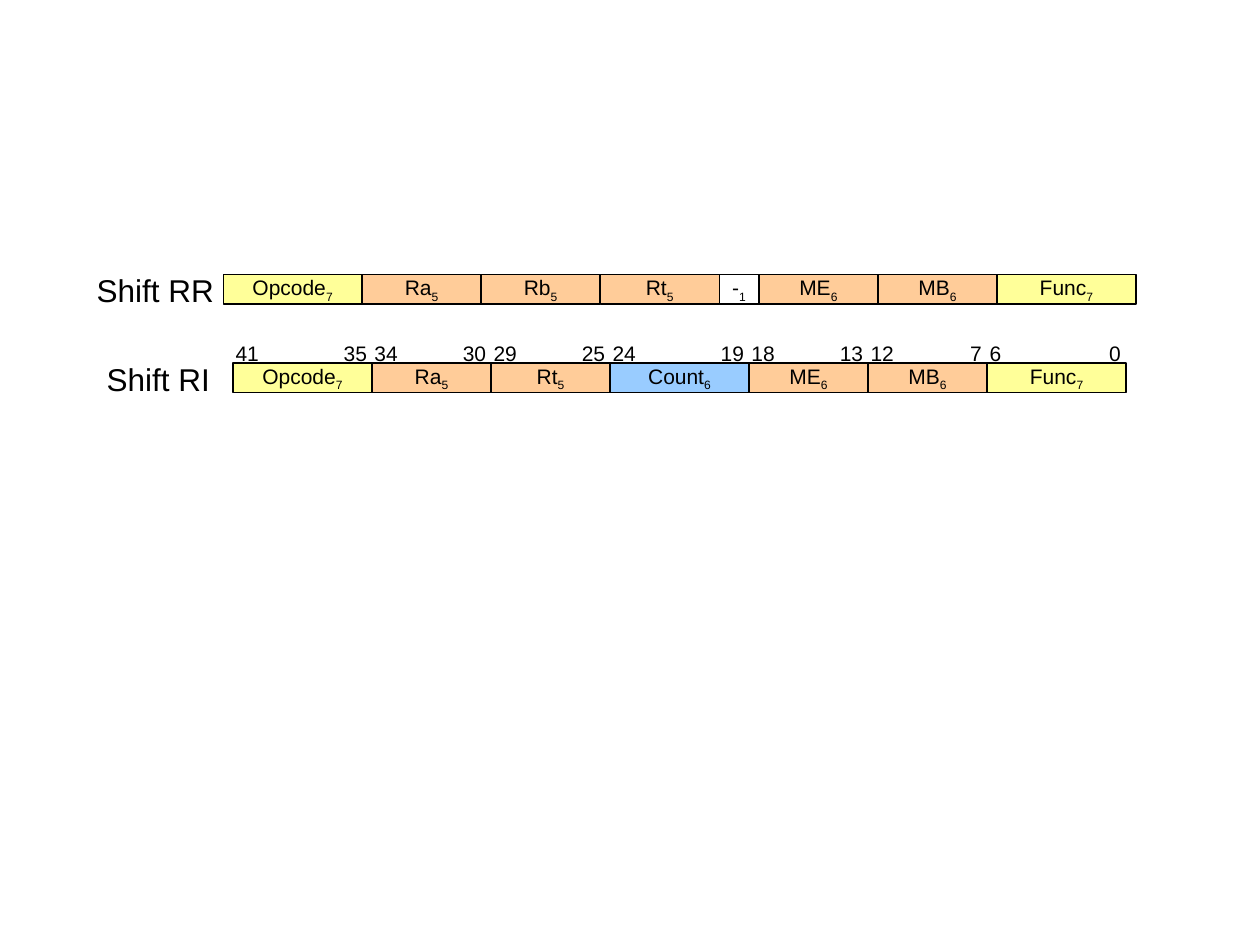
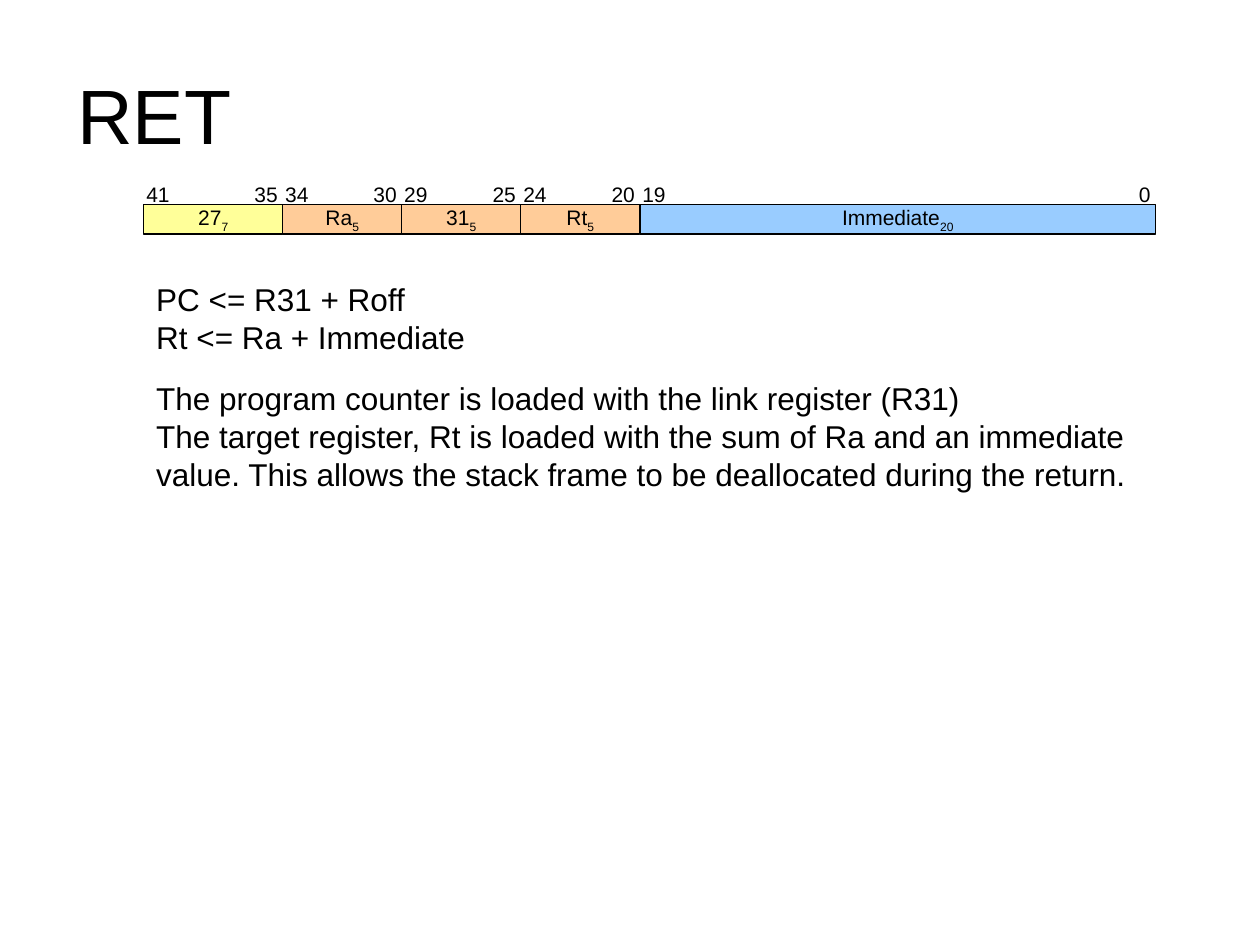
from pptx import Presentation
from pptx.dml.color import RGBColor
from pptx.enum.shapes import MSO_SHAPE as Shape
from pptx.enum.text import MSO_ANCHOR as Anchor, MSO_AUTO_SIZE as AutoSize, PP_ALIGN as Align
from pptx.util import Cm, Pt

FONT = "Arial"
COLORS = {
    "text": "000000",
    "code": "FFFF99",
    "register": "FFCC99",
    "immediate": "99CCFF",
    "unused": "FFFFFF",
}
TITLE_ONLY, BLANK = 5, 6
FIELD_HEIGHT = 0.6

# Instruction formats: (field name, bits, kind, width in cm)
SHIFT_RR = [
    ("Opcode", 7, "code", 2.8),
    ("Ra", 5, "register", 2.4),
    ("Rb", 5, "register", 2.4),
    ("Rt", 5, "register", 2.4),
    ("-", 1, "unused", 0.8),
    ("ME", 6, "register", 2.4),
    ("MB", 6, "register", 2.4),
    ("Func", 7, "code", 2.8),
]
SHIFT_RI = [
    ("Opcode", 7, "code", 2.8),
    ("Ra", 5, "register", 2.4),
    ("Rt", 5, "register", 2.4),
    ("Count", 6, "immediate", 2.8),
    ("ME", 6, "register", 2.4),
    ("MB", 6, "register", 2.4),
    ("Func", 7, "code", 2.8),
]
RET = [
    ("27", 7, "code", 2.8),
    ("Ra", 5, "register", 2.4),
    ("31", 5, "register", 2.4),
    ("Rt", 5, "register", 2.4),
    ("Immediate", 20, "immediate", 10.4),
]


def rgb(key):
    return RGBColor.from_string(COLORS[key])


def style(paragraph, size, align=Align.LEFT):
    paragraph.alignment = align
    paragraph.font.name = FONT
    paragraph.font.size = Pt(size)
    paragraph.font.color.rgb = rgb("text")


def add_text(slide, lines, left, top, width, height, size=18):
    box = slide.shapes.add_textbox(Cm(left), Cm(top), Cm(width), Cm(height))
    frame = box.text_frame
    frame.word_wrap = False
    frame.auto_size = AutoSize.SHAPE_TO_FIT_TEXT
    frame.text = "\n".join(lines)
    for paragraph in frame.paragraphs:
        style(paragraph, size)


def add_field(slide, name, bits, kind, left, top, width):
    """Box with the field name and its bit count as a subscript."""
    field = slide.shapes.add_shape(
        Shape.RECTANGLE, Cm(left), Cm(top), Cm(width), Cm(FIELD_HEIGHT))
    field.shadow.inherit = False
    field.fill.solid()
    field.fill.fore_color.rgb = rgb(kind)
    field.line.color.rgb = rgb("text")
    field.line.width = Pt(0.75)
    frame = field.text_frame
    frame.word_wrap = False
    frame.vertical_anchor = Anchor.MIDDLE
    paragraph = frame.paragraphs[0]
    style(paragraph, 12, Align.CENTER)
    paragraph.add_run().text = name
    subscript = paragraph.add_run()
    subscript.text = str(bits)
    subscript._r.get_or_add_rPr().set("baseline", "-25000")


def add_bit_range(slide, high, low, left, right, field_top):
    """Bit numbers above the two ends of a field."""
    top = field_top - 0.58

    def label_width(bit):
        return 0.97 if bit > 9 else 0.74

    low_left = right + 0.15 - label_width(low)
    for bit, bit_left in ((high, left - 0.2), (low, low_left)):
        add_text(slide, [str(bit)], bit_left, top, label_width(bit), 0.76, size=12)


def add_format(slide, fields, left, top, numbered=True):
    """Row of adjoining fields, numbered down from the highest bit."""
    high = sum(bits for _, bits, _, _ in fields) - 1
    for name, bits, kind, width in fields:
        add_field(slide, name, bits, kind, left, top, width)
        if numbered:
            add_bit_range(slide, high, high - bits + 1, left, left + width, top)
        high -= bits
        left += width


def add_title(slide, text):
    title = slide.shapes.title
    title.left, title.top, title.width, title.height = Cm(1.3), Cm(0.71), Cm(22.86), Cm(3.18)
    title.text_frame.text = text
    title.text_frame.vertical_anchor = Anchor.MIDDLE
    style(title.text_frame.paragraphs[0], 44)


def build_shift_slide(prs):
    slide = prs.slides.add_slide(prs.slide_layouts[BLANK])
    add_text(slide, ["Shift RR"], 1.7, 5.33, 2.87, 1.02)
    add_format(slide, SHIFT_RR, 4.5, 5.53, numbered=False)
    add_text(slide, ["Shift RI"], 1.9, 7.13, 2.59, 1.02)
    add_format(slide, SHIFT_RI, 4.7, 7.32)


def build_ret_slide(prs):
    slide = prs.slides.add_slide(prs.slide_layouts[TITLE_ONLY])
    add_title(slide, "RET")
    add_format(slide, RET, 2.9, 4.12)
    # Operation and its description
    add_text(slide, ["PC <= R31 + Roff", "Rt <= Ra + Immediate"], 2.9, 5.53, 6.73, 1.78)
    add_text(slide, [
        "The program counter is loaded with the link register (R31)",
        "The target register, Rt is loaded with the sum of Ra and an immediate",
        "value. This allows the stack frame to be deallocated during the return.",
    ], 2.9, 7.52, 20.07, 3.3)


def main():
    prs = Presentation()
    prs.slide_width, prs.slide_height = Cm(25.4), Cm(19.05)
    build_shift_slide(prs)
    build_ret_slide(prs)
    prs.save("out.pptx")


if __name__ == "__main__":
    main()
